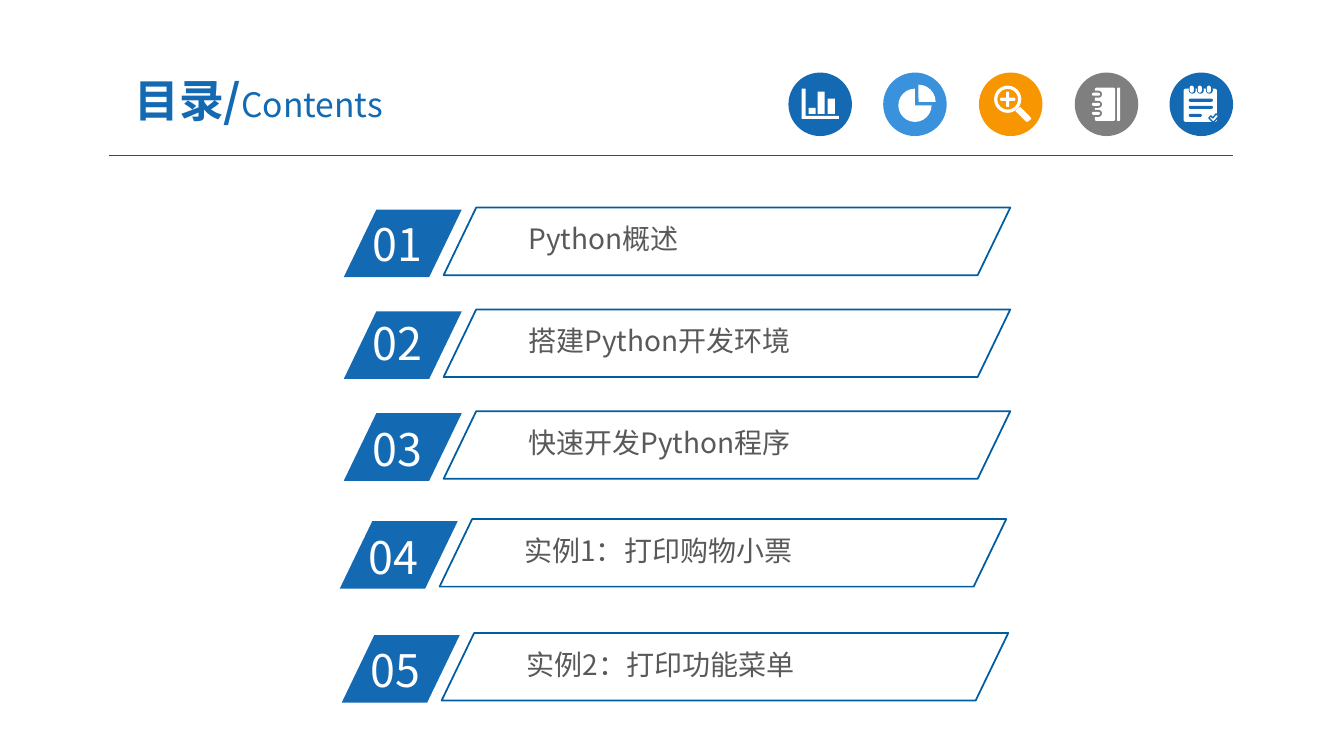
"""Build the contents slide of a Python course."""
from dataclasses import dataclass

from lxml.etree import SubElement
from pptx import Presentation
from pptx.dml.color import RGBColor as Rgb
from pptx.enum.shapes import MSO_CONNECTOR as Link, MSO_SHAPE as Kind
from pptx.enum.text import MSO_ANCHOR as Anchor, MSO_AUTO_SIZE as Fit, PP_ALIGN as Align
from pptx.oxml.ns import qn
from pptx.util import Pt

PX = 9144


@dataclass(frozen=True)
class Theme:
    """Colours, type sizes and font of the slide."""
    blue: str = "1369B2"
    sky: str = "3992DB"
    gold: str = "F79600"
    gray: str = "7F7F7F"
    white: str = "FFFFFF"
    ink: str = "595959"
    rule: str = "005B9E"
    edge: str = "005DA2"
    head: int = 32
    sub: int = 24
    item: int = 20
    font: str = "Noto Sans CJK SC"


def write(para, text, *, font, size, color, bold=False):
    """Add one formatted run to a paragraph."""
    run = para.add_run()
    run.text = text
    run.font.size = Pt(size)
    run.font.bold = bold
    run.font.color.rgb = Rgb.from_string(color)
    run.font.name = font
    SubElement(run.font._element, qn("a:ea"), typeface=font)


def rect(x, y, width, height):
    """Return the corners of a box."""
    return [(x, y), (x + width, y), (x + width, y + height), (x, y + height)]


class Board:
    """Hold the theme and the slide, and draw on it."""

    def __init__(self, slide, theme):
        """Keep the slide and its theme."""
        self.slide, self.theme = slide, theme

    def paint(self, shape, fill, line, width):
        """Set the fill and outline of a shape."""
        shape.shadow.inherit = False
        if fill:
            shape.fill.solid()
            shape.fill.fore_color.rgb = Rgb.from_string(fill)
        else:
            shape.fill.background()
        if line:
            shape.line.color.rgb = Rgb.from_string(line)
            shape.line.width = Pt(width)
        else:
            shape.line.fill.background()

    def shape(self, kind, box, fill=None, line=None, width=1.25, adj=()):
        """Draw a preset shape."""
        form = self.slide.shapes.add_shape(kind, *(n * PX for n in box))
        for i, value in enumerate(adj):
            form.adjustments[i] = value
        self.paint(form, fill, line, width)

    def pill(self, *box, fill=None, adj=0.3):
        """Draw a small rounded bar, white by default."""
        self.shape(Kind.ROUNDED_RECTANGLE, box, fill or self.theme.white, adj=(adj,))

    def poly(self, *loops, line=None):
        """Draw white polygons as one shape."""
        pen = self.slide.shapes.build_freeform(*loops[0][0], scale=PX)
        for loop in loops:
            pen.move_to(*loop[0])
            pen.add_line_segments(loop[1:])
        self.paint(pen.convert_to_shape(), self.theme.white, line, 1)

    def rule(self, x, y, end):
        """Draw a level line."""
        line = self.slide.shapes.add_connector(
            Link.STRAIGHT, x * PX, y * PX, end * PX, y * PX)
        line.line.color.rgb = Rgb.from_string(self.theme.rule)
        line.line.width = Pt(0.75)
        SubElement(line._element.spPr, qn("a:effectLst"))

    def label(self, box, text, size, color, pad):
        """Draw a text box with one line."""
        frame = self.slide.shapes.add_textbox(*(n * PX for n in box)).text_frame
        frame.word_wrap = True
        frame.auto_size = Fit.SHAPE_TO_FIT_TEXT
        frame.margin_left = frame.margin_right = pad[0] * PX
        frame.margin_top = frame.margin_bottom = pad[1] * PX
        write(frame.paragraphs[0], text, font=self.theme.font, size=size, color=color)

    def title(self, box, main, sub):
        """Fill and move the title placeholder."""
        look = self.theme
        head = self.slide.shapes.title
        head.left, head.top, head.width, head.height = (n * PX for n in box)
        frame = head.text_frame
        frame.auto_size = Fit.NONE
        frame.vertical_anchor = Anchor.MIDDLE
        frame.margin_left = frame.margin_right = 13 * PX
        frame.margin_top = frame.margin_bottom = 7 * PX
        para = frame.paragraphs[0]
        para.alignment = Align.CENTER
        write(para, main, font=look.font, size=look.head, color=look.blue, bold=True)
        write(para, sub, font=look.font, size=look.sub, color=look.blue)

    def chart(self):
        """Draw the bar chart icon."""
        axes = [(795, 88), (799, 88), (799, 115), (832, 115), (832, 118), (795, 118)]
        bars = [rect(x, y, 7, 113 - y) for x, y in ((802, 107), (811, 91), (821, 98))]
        self.poly(axes, *bars)

    def pie(self):
        """Draw the pie icon."""
        white = self.theme.white
        self.shape(Kind.PIE, (891, 88, 33, 33), white, adj=(0, 162))
        self.shape(Kind.PIE, (894, 84, 34, 34), white, adj=(162, 0))

    def lens(self):
        """Draw the magnifier icon."""
        self.shape(Kind.DONUT, (986, 85, 27, 27), self.theme.white, adj=(0.12,))
        self.pill(992, 97, 15, 3)
        self.pill(998, 91, 3, 15)
        self.poly([(1007, 110), (1012, 106), (1021, 115), (1023, 118),
                   (1019, 121), (1017, 120)])

    def book(self):
        """Draw the notebook icon."""
        self.pill(1086, 87, 20, 33, adj=0.08)
        self.pill(1108, 87, 3, 33)
        for y in (90, 100, 109):
            self.pill(1083, y, 10, 7, fill=self.theme.gray, adj=0.5)
            self.pill(1083, y + 2, 8, 3, adj=0.5)

    def note(self):
        """Draw the checklist icon."""
        blue = self.theme.blue
        self.pill(1174, 88, 33, 33, adj=0.06)
        for x in (1179, 1187, 1196):
            self.pill(x, 86, 7, 7, fill=blue, adj=0.5)
            self.pill(x + 1, 85, 4, 7, adj=0.5)
        for y, width in ((98, 24), (105, 24), (113, 13)):
            self.pill(1179, y, width, 3, fill=blue, adj=0.5)
        self.poly([(1199, 117), (1201, 115), (1203, 117), (1206, 113),
                   (1209, 115), (1204, 121), (1203, 121)], line=blue)

    def icons(self):
        """Draw the row of round icons."""
        look = self.theme
        row = ((look.blue, self.chart), (look.sky, self.pie), (look.gold, self.lens),
               (look.gray, self.book), (look.blue, self.note))
        for i, (color, draw) in enumerate(row):
            self.shape(Kind.OVAL, (782 + round(i * 94.5), 72, 63, 63), color)
            draw()

    def entry(self, num, text, x, y, drop):
        """Draw one numbered entry."""
        look, slant = self.theme, (0.482,)
        self.shape(Kind.PARALLELOGRAM, (x - 99, y + 2, 117, 67), look.blue, adj=slant)
        self.label((x - 80, y + drop, 112, 64), f"{num:02}", look.head, look.white, (10, 5))
        self.label((x + 77, y + 10, 412, 41), text, look.item, look.ink, (7, 4))
        self.shape(Kind.PARALLELOGRAM, (x, y, 562, 67), line=look.edge, adj=slant)


ITEMS = (
    ("Python概述", 440, 206, 4),
    ("搭建Python开发环境", 440, 307, 1),
    ("快速开发Python程序", 440, 408, 5),
    ("实例1：打印购物小票", 436, 515, 6),
    ("实例2：打印功能菜单", 438, 628, 5),
)


def main():
    """Build and save the deck."""
    deck = Presentation()
    deck.slide_width, deck.slide_height = 1333 * PX, 750 * PX
    board = Board(deck.slides.add_slide(deck.slide_layouts[5]), Theme())
    board.rule(108, 154, 1223)
    board.icons()
    board.title((92, 63, 329, 72), "目录/", "Contents")
    for num, item in enumerate(ITEMS, 1):
        board.entry(num, *item)
    deck.save("out.pptx")


if __name__ == "__main__":
    main()
